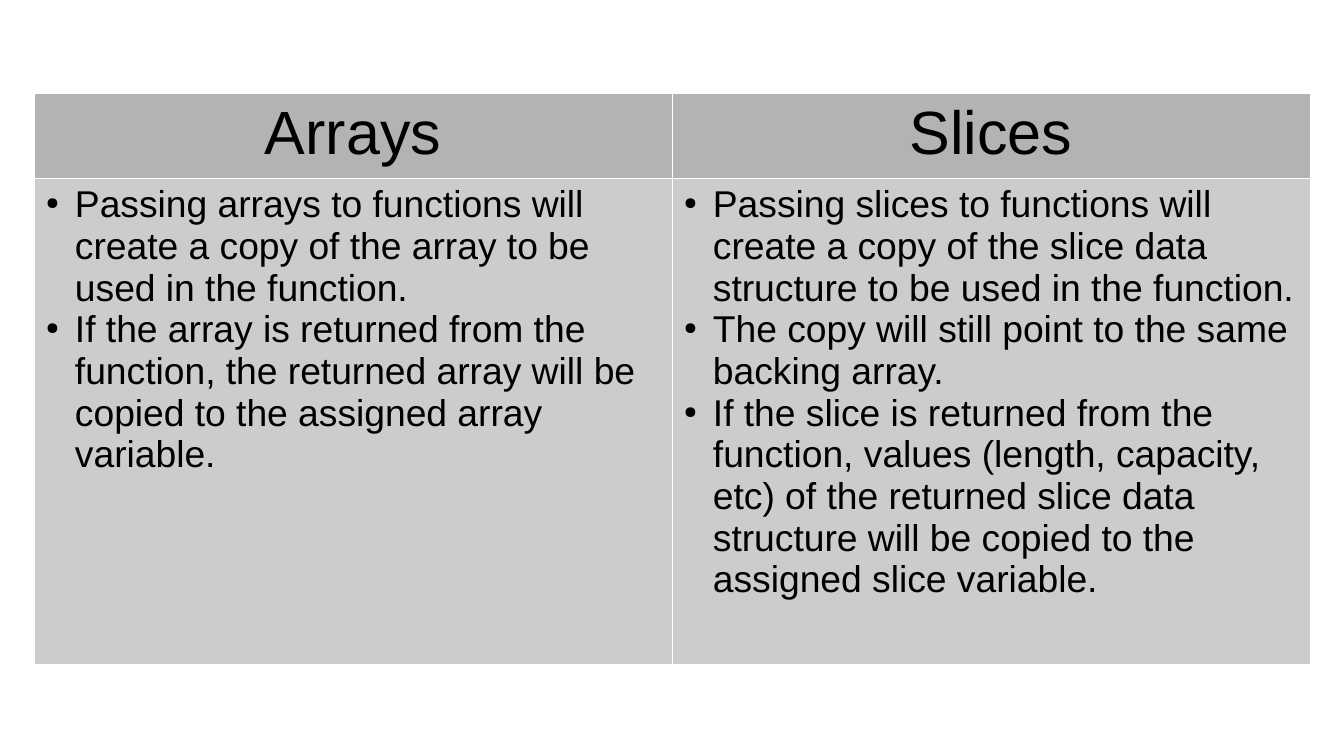
"""Build a slide with a table that compares arrays and slices."""
from dataclasses import dataclass

from lxml import etree
from pptx import Presentation
from pptx.dml.color import RGBColor
from pptx.enum.text import PP_ALIGN
from pptx.oxml.ns import qn
from pptx.table import Table, _Cell
from pptx.text.text import _Paragraph
from pptx.util import Emu, Pt

CENTER = PP_ALIGN.CENTER
LEFT = PP_ALIGN.LEFT
EMU_PER_PX = 7495
BLANK_LAYOUT = 6

BLACK = RGBColor(0x00, 0x00, 0x00)
WHITE = RGBColor(0xFF, 0xFF, 0xFF)
HEADER_GRAY = RGBColor(0xB3, 0xB3, 0xB3)
BODY_GRAY = RGBColor(0xCC, 0xCC, 0xCC)

FONT_NAME = "Arial"
BORDER_WIDTH = Pt(0.06)
SLIDE_WIDTH, SLIDE_HEIGHT = 1344, 756
TABLE_LEFT, TABLE_TOP = 34, 93
COLUMN_WIDTH = 638
HEADER_HEIGHT, BODY_HEIGHT = 85, 486
MARGIN_X, MARGIN_Y = 12, 6
BULLET_INDENT = 29


@dataclass(frozen=True)
class ComparisonColumn:
    title: str
    points: tuple[str, ...]


COLUMNS = (
    ComparisonColumn("Arrays", (
        "Passing arrays to functions will create a copy of the array to be "
        "used in the function.",
        "If the array is returned from the function, the returned array will "
        "be copied to the assigned array variable.",
    )),
    ComparisonColumn("Slices", (
        "Passing slices to functions will create a copy of the slice data "
        "structure to be used in the function.",
        "The copy will still point to the same backing array.",
        "If the slice is returned from the function, values (length, "
        "capacity, etc) of the returned slice data structure will be copied "
        "to the assigned slice variable.",
    )),
)


def px(length: int) -> Emu:
    return Emu(length * EMU_PER_PX)


def add_bullet(paragraph: _Paragraph) -> None:
    properties = paragraph._p.get_or_add_pPr()
    properties.set("marL", str(px(BULLET_INDENT)))
    properties.set("indent", str(-px(BULLET_INDENT)))
    color = etree.SubElement(properties, qn("a:buClr"))
    etree.SubElement(color, qn("a:srgbClr"), val=str(BLACK))
    etree.SubElement(properties, qn("a:buSzPct"), val="45000")
    etree.SubElement(properties, qn("a:buChar"), char="●")


def add_borders(cell: _Cell) -> None:
    properties = cell._tc.get_or_add_tcPr()
    for side in ("a:lnL", "a:lnR", "a:lnT", "a:lnB"):
        line = etree.SubElement(properties, qn(side), w=str(BORDER_WIDTH))
        fill = etree.SubElement(line, qn("a:solidFill"))
        etree.SubElement(fill, qn("a:srgbClr"), val=str(WHITE))


def write_text(cell: _Cell, lines: tuple[str, ...], *, size: int,
               alignment: PP_ALIGN = LEFT, bulleted: bool = False) -> None:
    frame = cell.text_frame
    for index, line in enumerate(lines):
        paragraph = frame.add_paragraph() if index else frame.paragraphs[0]
        if bulleted:
            add_bullet(paragraph)
        paragraph.alignment = alignment
        run = paragraph.add_run()
        run.text = line
        run.font.name = FONT_NAME
        run.font.size = Pt(size)
        run.font.color.rgb = BLACK


def style_cell(cell: _Cell, color: RGBColor) -> None:
    cell.margin_left = cell.margin_right = px(MARGIN_X)
    cell.margin_top = cell.margin_bottom = px(MARGIN_Y)
    add_borders(cell)
    cell.fill.solid()
    cell.fill.fore_color.rgb = color


def fill_column(table: Table, index: int, column: ComparisonColumn) -> None:
    table.columns[index].width = px(COLUMN_WIDTH)
    header, body = table.cell(0, index), table.cell(1, index)
    style_cell(header, HEADER_GRAY)
    style_cell(body, BODY_GRAY)
    write_text(header, (column.title,), size=36, alignment=CENTER)
    write_text(body, column.points, size=22, bulleted=True)


def main() -> None:
    presentation = Presentation()
    presentation.slide_width = px(SLIDE_WIDTH)
    presentation.slide_height = px(SLIDE_HEIGHT)
    slide = presentation.slides.add_slide(
        presentation.slide_layouts[BLANK_LAYOUT])
    table = slide.shapes.add_table(
        2, len(COLUMNS), px(TABLE_LEFT), px(TABLE_TOP),
        px(COLUMN_WIDTH * len(COLUMNS)),
        px(HEADER_HEIGHT + BODY_HEIGHT)).table
    table.first_row = False
    table.horz_banding = False
    table.rows[0].height = px(HEADER_HEIGHT)
    table.rows[1].height = px(BODY_HEIGHT)
    for index, column in enumerate(COLUMNS):
        fill_column(table, index, column)
    presentation.save("out.pptx")


if __name__ == "__main__":
    main()
